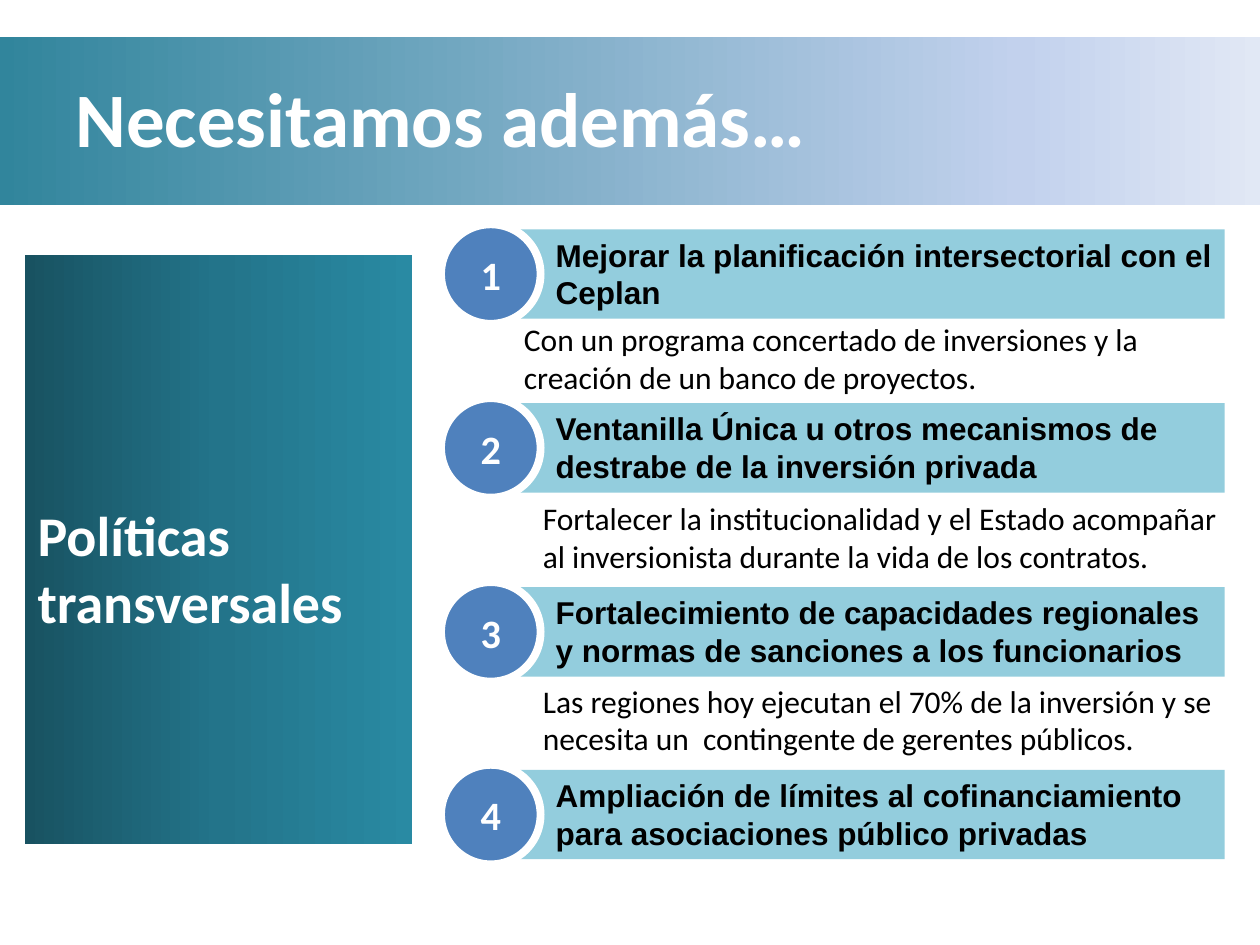
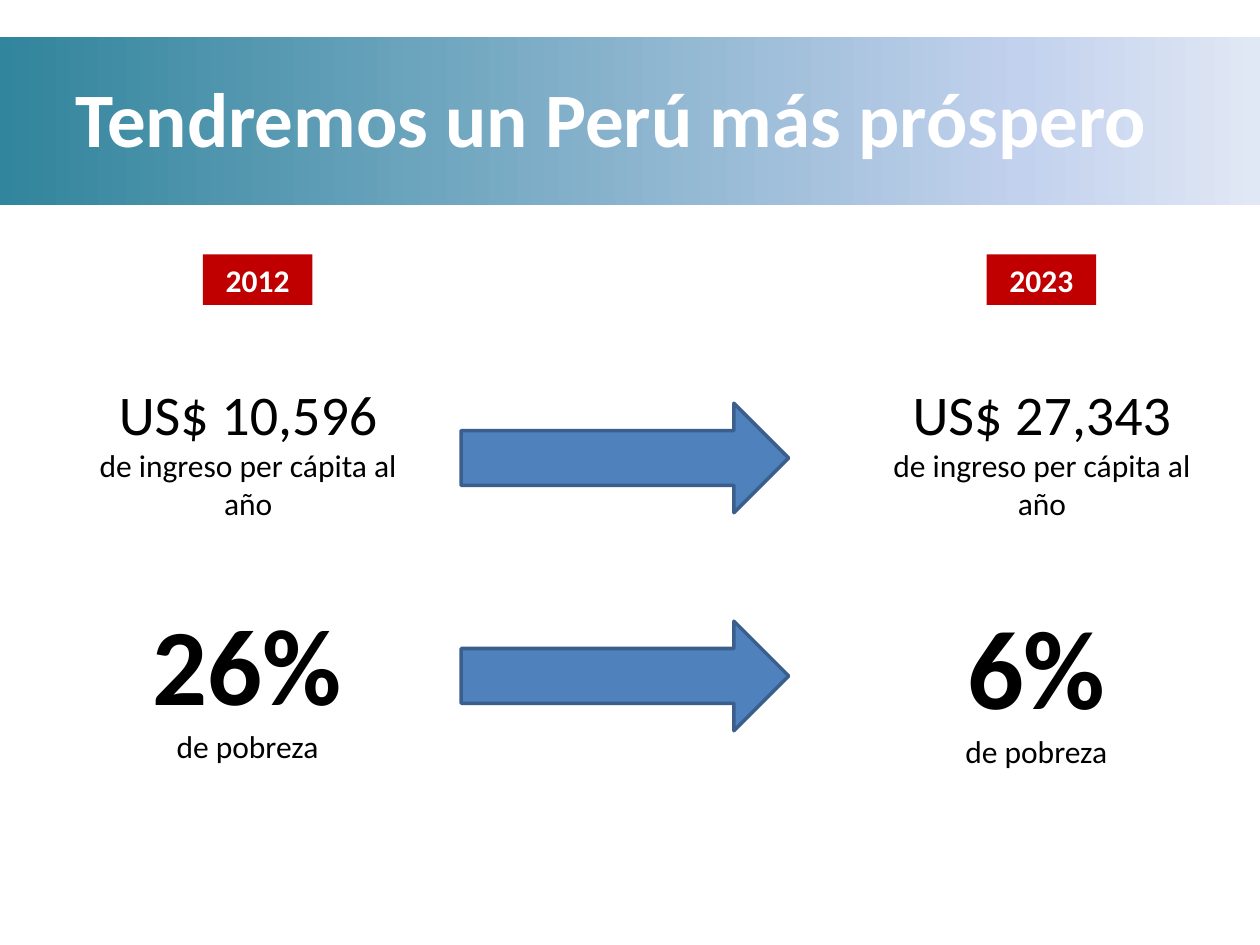
import copy
from dataclasses import dataclass

import pptx
import pptx.dml.color
import pptx.enum.shapes
import pptx.enum.text
import pptx.oxml.ns
import pptx.util

Inches = pptx.util.Inches
Pt = pptx.util.Pt
Shapes = pptx.enum.shapes.MSO_SHAPE
Align = pptx.enum.text.PP_ALIGN
Anchor = pptx.enum.text.MSO_ANCHOR
TITLE_ONLY = 5


@dataclass(frozen=True)
class Theme:
    body_font: str = "Calibri"
    heading_font: str = "Arial"
    white: str = "FFFFFF"
    black: str = "000000"
    blue: str = "4F81BD"
    arrow_edge: str = "3A5F8C"
    light_teal: str = "93CDDD"
    red: str = "C00000"
    band_stops: tuple = ((0, "31859C"), (0.81, "C2D1ED"), (1, "E1E8F5"))
    panel_stops: tuple = ((0, "185261"), (0.5, "23748A"), (1, "298AA3"))
    title_size: int = 44
    large_size: int = 32
    number_size: int = 23
    text_size: int = 18


THEME = Theme()


@dataclass(frozen=True)
class Box:
    left: float
    top: float
    width: float
    height: float

    def lengths(self) -> tuple:
        return tuple(Inches(v) for v in (self.left, self.top, self.width, self.height))


@dataclass(frozen=True)
class Style:
    size: int = THEME.text_size
    color: str = THEME.black
    bold: bool = False
    font: str = THEME.body_font


@dataclass(frozen=True)
class Policy:
    top: float
    heading: str
    detail: str = ""
    detail_box: Box | None = None


@dataclass(frozen=True)
class Figure:
    box: Box
    value: str
    value_style: Style
    caption: str


POLICIES = (
    Policy(1.82, "Mejorar la planificación intersectorial con el Ceplan",
           "Con un programa concertado de inversiones y la creación de un banco de proyectos.",
           Box(4.06, 2.49, 5.51, 0.71)),
    Policy(3.2, "Ventanilla Única u otros mecanismos de destrabe de la inversión privada",
           "Fortalecer la institucionalidad y el Estado acompañar al inversionista "
           "durante la vida de los contratos.",
           Box(4.21, 3.91, 5.75, 0.71)),
    Policy(4.66, "Fortalecimiento de capacidades regionales y normas de sanciones a los funcionarios",
           "Las regiones hoy ejecutan el 70% de la inversión y se necesita un  contingente "
           "de gerentes públicos.",
           Box(4.21, 5.36, 5.51, 0.71)),
    Policy(6.11, "Ampliación de límites al cofinanciamiento para asociaciones público privadas"),
)

INCOME = "de ingreso per cápita al año"
POVERTY = "de pobreza"
FIGURES = (
    Figure(Box(0.67, 2.96, 2.6, 1.25), "US$ 10,596 ", Style(THEME.large_size), INCOME),
    Figure(Box(6.97, 2.96, 2.6, 1.25), "US$ 27,343 ", Style(THEME.large_size), INCOME),
    Figure(Box(0.98, 4.69, 1.97, 1.45), "26% ", Style(62, bold=True), POVERTY),
    Figure(Box(7.44, 4.69, 1.57, 1.48), "6% ", Style(64, bold=True), POVERTY),
)


def rgb(color: str) -> pptx.dml.color.RGBColor:
    return pptx.dml.color.RGBColor.from_string(color)


def format_run(run, style: Style) -> None:
    run.font.name = style.font
    run.font.size = Pt(style.size)
    run.font.bold = style.bold
    run.font.color.rgb = rgb(style.color)


def write(shape, text: str, style: Style, align=Align.LEFT, anchor=Anchor.TOP):
    """Put one styled paragraph in a shape and return the paragraph."""
    frame = shape.text_frame
    frame.text = text
    frame.word_wrap = True
    frame.vertical_anchor = anchor
    paragraph = frame.paragraphs[0]
    paragraph.alignment = align
    format_run(paragraph.runs[0], style)
    return paragraph


def add_shape(slide, kind, box: Box, fill: str = "", line: str = "", line_width: float = 0):
    shape = slide.shapes.add_shape(kind, *box.lengths())
    shape.shadow.inherit = False
    if fill:
        shape.fill.solid()
        shape.fill.fore_color.rgb = rgb(fill)
    if line:
        shape.line.color.rgb = rgb(line)
        shape.line.width = Pt(line_width)
    else:
        shape.line.fill.background()
    return shape


def add_gradient_box(slide, box: Box, stops: tuple):
    """Draw a rectangle with a three-stop gradient from left to right."""
    shape = add_shape(slide, Shapes.RECTANGLE, box)
    shape.fill.gradient()
    shape.fill.gradient_angle = 0
    stop_list = shape._element.spPr.find(".//" + pptx.oxml.ns.qn("a:gsLst"))
    stop_list.append(copy.deepcopy(stop_list[0]))
    for stop, (position, color) in zip(shape.fill.gradient_stops, stops):
        stop.position = position
        stop.color.rgb = rgb(color)
    return shape


def add_titled_slide(presentation, title: str):
    slide = presentation.slides.add_slide(presentation.slide_layouts[TITLE_ONLY])
    placeholder = slide.shapes.title
    box = Box(0.5, 0.3, 9, 1.25).lengths()
    placeholder.left, placeholder.top, placeholder.width, placeholder.height = box
    write(placeholder, title, Style(THEME.title_size, THEME.white, True), anchor=Anchor.MIDDLE)
    return slide


def move_to_layout(shape, layout) -> None:
    """Place a shape behind everything else on the layout."""
    layout.shapes._spTree.insert(2, shape._element)


def add_policy(slide, number: int, policy: Policy) -> None:
    # Heading bar
    bar = add_shape(slide, Shapes.RECTANGLE, Box(4.13, policy.top, 5.59, 0.71), THEME.light_teal)
    bar.text_frame.margin_left = Inches(0.28)
    write(bar, policy.heading, Style(bold=True, font=THEME.heading_font))

    # Numbered circle
    circle = add_shape(slide, Shapes.OVAL, Box(3.5, policy.top - 0.04, 0.79, 0.79),
                       THEME.blue, THEME.white, 4.5)
    write(circle, str(number), Style(THEME.number_size, THEME.white, True),
          Align.CENTER, Anchor.MIDDLE)

    # Explanation
    if policy.detail_box:
        detail = slide.shapes.add_textbox(*policy.detail_box.lengths())
        write(detail, policy.detail, Style()).space_after = Pt(6)


def add_figure(slide, figure: Figure) -> None:
    text_box = slide.shapes.add_textbox(*figure.box.lengths())
    paragraph = write(text_box, figure.value, figure.value_style, Align.CENTER)
    caption = paragraph.add_run()
    caption.text = figure.caption
    format_run(caption, Style())


def build_policies_slide(presentation) -> None:
    slide = add_titled_slide(presentation, "Necesitamos además…")
    # Shared title band
    band = add_gradient_box(slide, Box(0, 0.29, 10, 1.34), THEME.band_stops)
    move_to_layout(band, slide.slide_layout)

    # Side panel
    panel = add_gradient_box(slide, Box(0.2, 2.02, 3.07, 4.68), THEME.panel_stops)
    panel.text_frame.margin_top = Inches(1.95)
    write(panel, "Políticas transversales", Style(THEME.large_size, THEME.white, True))

    for number, policy in enumerate(POLICIES, start=1):
        add_policy(slide, number, policy)


def build_outlook_slide(presentation) -> None:
    slide = add_titled_slide(presentation, "Tendremos un Perú más próspero")
    # Year labels
    for left, year in ((1.61, "2012"), (7.83, "2023")):
        label = add_shape(slide, Shapes.RECTANGLE, Box(left, 2.02, 0.87, 0.4), THEME.red)
        write(label, year, Style(color=THEME.white, bold=True), Align.CENTER)

    # Arrows from present to future
    for top in (3.2, 4.93):
        add_shape(slide, Shapes.RIGHT_ARROW, Box(3.66, top, 2.6, 0.87),
                  THEME.blue, THEME.arrow_edge, 2)

    for figure in FIGURES:
        add_figure(slide, figure)


def main() -> None:
    presentation = pptx.Presentation()
    presentation.slide_width = Inches(10)
    presentation.slide_height = Inches(7.5)
    build_policies_slide(presentation)
    build_outlook_slide(presentation)
    presentation.save("out.pptx")


if __name__ == "__main__":
    main()
